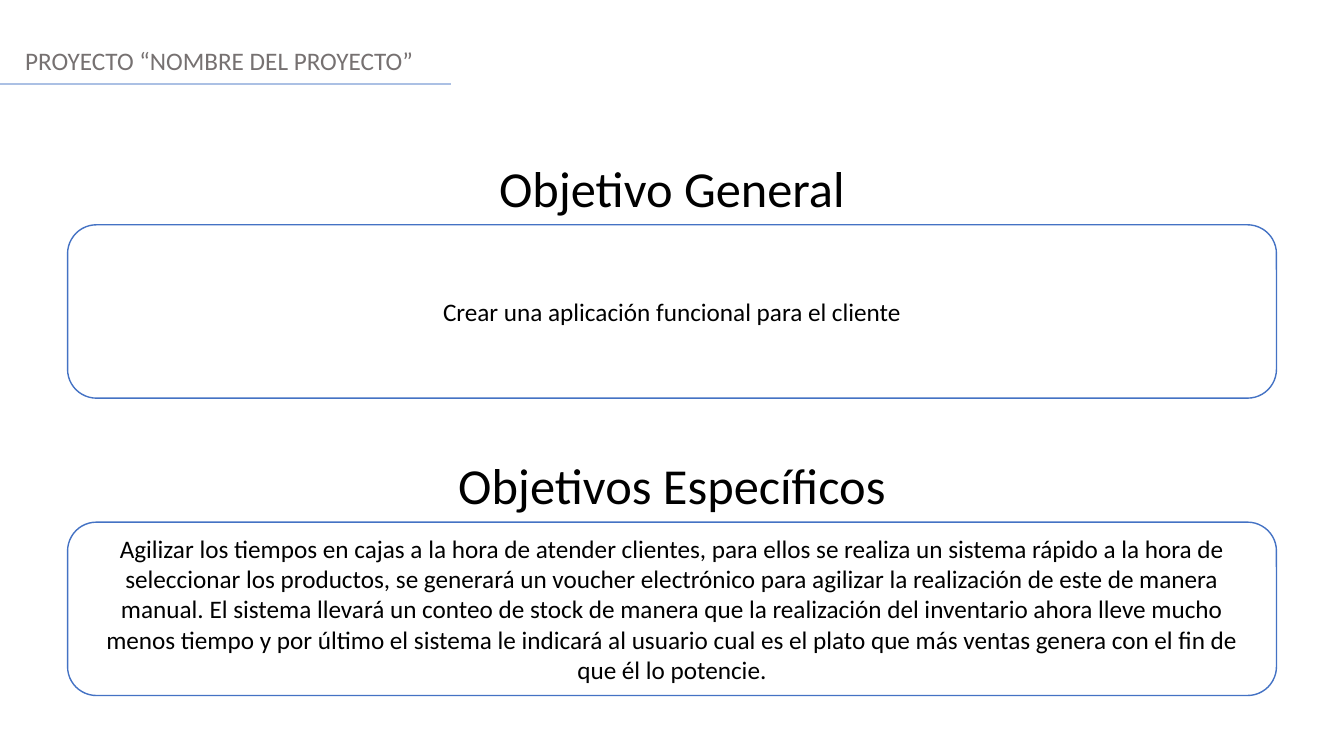
from lxml import etree
from pptx import Presentation
from pptx import util as u
from pptx.dml.color import RGBColor
from pptx.enum import shapes, text
from pptx.oxml import ns

PX = 9144
WIDTH, HEIGHT = 1333, 750
WHITE = RGBColor(0xFF, 0xFF, 0xFF)
BLACK = RGBColor(0x00, 0x00, 0x00)
GREY = RGBColor(0x76, 0x71, 0x71)
BLUE = RGBColor(0x44, 0x72, 0xC4)
PALE_BLUE = RGBColor(0xAB, 0xC0, 0xE4)

HEADER = {"size": u.Pt(18), "name": "Calibri", "color": GREY, "align": text.PP_ALIGN.LEFT}
HEADING = {"size": u.Pt(36), "name": "Calibri", "color": BLACK, "align": text.PP_ALIGN.CENTER}
BODY = {**HEADING, "size": u.Pt(18)}

OBJECTIVES = [
    ("Objetivo General", "Crear una aplicación funcional para el cliente"),
    ("Objetivos Específicos",
     "Agilizar los tiempos en cajas a la hora de atender clientes, para ellos se realiza "
     "un sistema rápido a la hora de seleccionar los productos, se generará un voucher "
     "electrónico para agilizar la realización de este de manera manual. El sistema llevará "
     "un conteo de stock de manera que la realización del inventario ahora lleve mucho menos "
     "tiempo y por último el sistema le indicará al usuario cual es el plato que más ventas "
     "genera con el fin de que él lo potencie."),
]


def emu(*lengths):
    """Turn px lengths into EMU."""
    return [u.Emu(length * PX) for length in lengths]


def write(holder, words, style, anchor):
    """Put formatted words into a shape."""
    frame = holder.text_frame
    frame.text = words
    frame_format = {"word_wrap": True, "auto_size": text.MSO_AUTO_SIZE.NONE,
                    "vertical_anchor": anchor}
    for key, value in frame_format.items():
        setattr(frame, key, value)
    paragraph = frame.paragraphs[0]
    paragraph.alignment = style["align"]
    for key in ("size", "name"):
        setattr(paragraph.runs[0].font, key, style[key])
    paragraph.runs[0].font.color.rgb = style["color"]


def add_header(slide, left, top, width, height):
    """Place the project title and the rule under it."""
    title = slide.shapes.title
    for key, value in zip(("left", "top", "width", "height"),
                          emu(left + 15, top, width, height)):
        setattr(title, key, value)
    write(title, "PROYECTO “NOMBRE DEL PROYECTO”", HEADER, text.MSO_ANCHOR.TOP)
    rule_y = top + height + 3
    rule = slide.shapes.add_connector(
        shapes.MSO_CONNECTOR.STRAIGHT, *emu(left, rule_y, left + 447, rule_y))
    rule.line.color.rgb = PALE_BLUE
    rule.line.width = u.Pt(1.25)
    etree.SubElement(rule.line._get_or_add_ln().getparent(), ns.qn("a:effectLst"))


def add_objective(slide, left, top, width, height, heading, goal):
    """Place a heading above a rounded panel that holds its goal."""
    heading_height, margin = 71, 67
    label = slide.shapes.add_textbox(*emu(left, top, width, heading_height))
    write(label, heading, HEADING, text.MSO_ANCHOR.TOP)
    panel = slide.shapes.add_shape(
        shapes.MSO_SHAPE.ROUNDED_RECTANGLE,
        *emu(left + margin, top + heading_height + 1,
             width - 2 * margin, height - heading_height - 1))
    panel.shadow.inherit = False
    panel.fill.solid()
    panel.fill.fore_color.rgb = WHITE
    panel.line.color.rgb = BLUE
    panel.line.width = u.Pt(1)
    write(panel, goal, BODY, text.MSO_ANCHOR.MIDDLE)


def main():
    """Build the objectives slide."""
    deck = Presentation()
    deck.slide_width, deck.slide_height = emu(WIDTH, HEIGHT)
    slide = deck.slides.add_slide(deck.slide_layouts.get_by_name("Title Only"))
    add_header(slide, 0, 40, WIDTH, 40)
    for row, (heading, goal) in enumerate(OBJECTIVES):
        add_objective(slide, 0, 151 + 295 * row, WIDTH, 244, heading, goal)
    deck.save("out.pptx")


if __name__ == "__main__":
    main()
